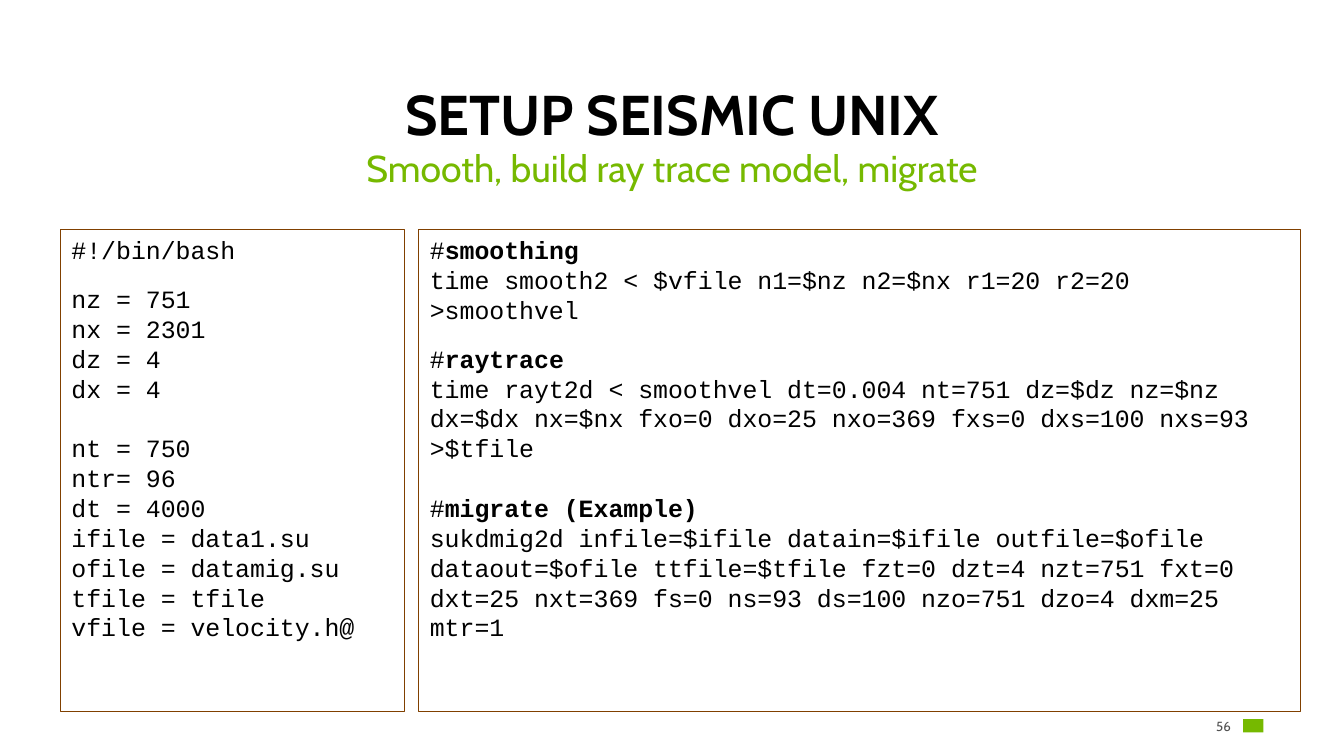
import copy

import pptx
import pptx.util
import pptx.dml.color
import pptx.enum.shapes
import pptx.enum.text

Inches = pptx.util.Inches
Pt = pptx.util.Pt
RGBColor = pptx.dml.color.RGBColor
RECTANGLE = pptx.enum.shapes.MSO_SHAPE.RECTANGLE
ALIGN = pptx.enum.text.PP_ALIGN
ANCHOR = pptx.enum.text.MSO_ANCHOR

# Colours
BLACK = RGBColor(0x00, 0x00, 0x00)
GREEN = RGBColor(0x76, 0xB9, 0x00)
GREY = RGBColor(0x50, 0x50, 0x50)
BROWN = RGBColor(0x80, 0x40, 0x00)

# Slide grid, in inches
WIDTH, HEIGHT = 12, 6.75
MARGIN = 0.55
HEADING_WIDTH = WIDTH - 2 * MARGIN
PANEL_LEFT, PANEL_TOP, PANEL_HEIGHT = 0.54, 2.05, 4.3
SETTINGS_WIDTH, COMMANDS_WIDTH, GUTTER = 3.07, 7.87, 0.13

# Formats
TITLE = {"name": "Cabin", "size": Pt(36), "bold": True}
SUBTITLE = {"name": "Cabin", "size": Pt(24), "bold": False}
PAGE_NUMBER = {"name": "Cabin", "size": Pt(8.5), "bold": False}
CODE = {"name": "Courier New", "size": Pt(16), "bold": False}
CODE_HEADING = {**CODE, "bold": True}
HEADING_PARAGRAPH = {"alignment": ALIGN.CENTER, "line_spacing": 0.9}
NO_INSETS = {"margin_left": 0, "margin_right": 0,
             "margin_top": 0, "margin_bottom": 0}

# Code: each paragraph is a list of (text, format) pieces
SETTINGS = [
    [("#!/bin/bash", CODE)],
    [("""nz = 751
nx = 2301
dz = 4
dx = 4

nt = 750
ntr= 96
dt = 4000
ifile = data1.su
ofile = datamig.su
tfile = tfile
vfile = velocity.h@""", CODE)],
]
COMMANDS = [
    [("#", CODE), ("smoothing\n", CODE_HEADING),
     ("time smooth2 < $vfile n1=$nz n2=$nx r1=20 r2=20 >smoothvel", CODE)],
    [("#", CODE), ("raytrace\n", CODE_HEADING),
     ("time rayt2d < smoothvel dt=0.004 nt=751 dz=$dz nz=$nz "
      "dx=$dx nx=$nx fxo=0 dxo=25 nxo=369 fxs=0 dxs=100 nxs=93 "
      ">$tfile\n\n#", CODE),
     ("migrate (Example)\n", CODE_HEADING),
     ("sukdmig2d infile=$ifile datain=$ifile outfile=$ofile "
      "dataout=$ofile ttfile=$tfile fzt=0 dzt=4 nzt=751 fxt=0 "
      "dxt=25 nxt=369 fs=0 ns=93 ds=100 nzo=751 dzo=4 dxm=25 mtr=1", CODE)],
]


def apply(target, values):
    for attribute, value in values.items():
        setattr(target, attribute, value)


def add_piece(paragraph, text, style, colour):
    """Add text in one format, giving its line breaks the same format."""
    for number, line in enumerate(text.split("\n")):
        if number:
            paragraph.add_line_break()
            paragraph._p[-1].append(copy.deepcopy(run._r.rPr))
        if line:
            run = paragraph.add_run()
            run.text = line
            apply(run.font, style)
            run.font.color.rgb = colour


def add_label(slide, box, text, style, colour, paragraph_style, frame_style):
    label = slide.shapes.add_textbox(*map(Inches, box))
    frame = label.text_frame
    apply(frame, {"word_wrap": True, **frame_style})
    paragraph = frame.paragraphs[0]
    apply(paragraph, paragraph_style)
    add_piece(paragraph, text, style, colour)


def add_rectangle(slide, box):
    rectangle = slide.shapes.add_shape(RECTANGLE, *map(Inches, box))
    rectangle.shadow.inherit = False
    return rectangle


def add_code_panel(slide, left, width, code):
    panel = add_rectangle(slide, (left, PANEL_TOP, width, PANEL_HEIGHT))
    panel.fill.background()
    panel.line.color.rgb = BROWN
    panel.line.width = Pt(0.75)
    frame = panel.text_frame
    apply(frame, {"word_wrap": True, "vertical_anchor": ANCHOR.TOP})
    for number, pieces in enumerate(code):
        paragraph = frame.add_paragraph() if number else frame.paragraphs[0]
        apply(paragraph, {"alignment": ALIGN.LEFT, "space_after": Pt(6),
                          "space_before": Pt(6 if number else 0)})
        for text, style in pieces:
            add_piece(paragraph, text, style, BLACK)


def main():
    deck = pptx.Presentation()
    apply(deck, {"slide_width": Inches(WIDTH), "slide_height": Inches(HEIGHT)})
    slide = deck.slides.add_slide(deck.slide_layouts[6])

    # Headings
    add_label(slide, (MARGIN, 0.72, HEADING_WIDTH, 0.65), "SETUP SEISMIC UNIX",
              TITLE, BLACK, HEADING_PARAGRAPH,
              {"vertical_anchor": ANCHOR.BOTTOM})
    add_label(slide, (MARGIN, 1.29, HEADING_WIDTH, 0.57),
              "Smooth, build ray trace model, migrate",
              SUBTITLE, GREEN, HEADING_PARAGRAPH,
              {"vertical_anchor": ANCHOR.TOP})

    # Script panels
    add_code_panel(slide, PANEL_LEFT, SETTINGS_WIDTH, SETTINGS)
    add_code_panel(slide, PANEL_LEFT + SETTINGS_WIDTH + GUTTER,
                   COMMANDS_WIDTH, COMMANDS)

    # Footer: page number and plain brand mark
    add_label(slide, (10.68, 6.39, 0.31, 0.18), "56", PAGE_NUMBER, GREY,
              {"alignment": ALIGN.RIGHT},
              {"vertical_anchor": ANCHOR.MIDDLE, **NO_INSETS})
    brand_mark = add_rectangle(slide, (11.1, 6.42, 0.18, 0.12))
    brand_mark.fill.solid()
    brand_mark.fill.fore_color.rgb = GREEN
    brand_mark.line.fill.background()

    deck.save("out.pptx")


if __name__ == "__main__":
    main()
